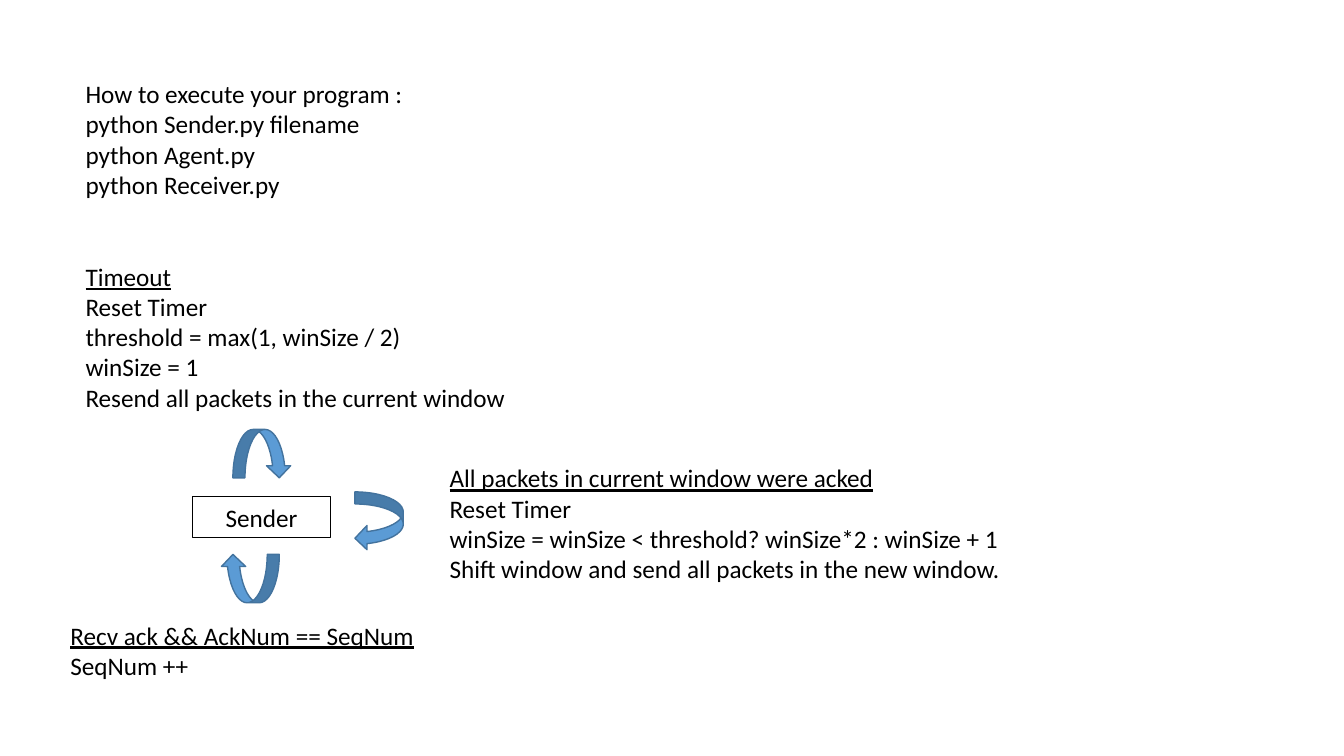
"""Build a slide on running the program and the sender's state transitions."""
from pptx import Presentation
from pptx.dml.color import RGBColor
from pptx.enum.shapes import MSO_SHAPE
from pptx.enum.text import PP_ALIGN
from pptx.util import Inches, Pt

COLORS = {"text": "000000", "arrow": "5B9BD5", "arrow_line": "43739E"}


def write_lines(tf, text, underline_first=False, align=PP_ALIGN.LEFT):
    tf.word_wrap = True
    for i, line in enumerate(text.split("\n")):
        p = tf.paragraphs[0] if i == 0 else tf.add_paragraph()
        p.alignment = align
        r = p.add_run()
        r.text = line
        r.font.name = "Calibri"
        r.font.size = Pt(18)
        r.font.color.rgb = RGBColor.from_string(COLORS["text"])
        if underline_first and i == 0:
            r.font.underline = True


prs = Presentation()
prs.slide_width, prs.slide_height = Inches(13.33), Inches(7.5)
s = prs.slides.add_slide(prs.slide_layouts[6])

sender = s.shapes.add_shape(
    MSO_SHAPE.RECTANGLE, Inches(1.91), Inches(4.93), Inches(1.37), Inches(0.4))
sender.shadow.inherit = False
sender.fill.background()
sender.line.color.rgb = RGBColor.from_string(COLORS["text"])
sender.line.width = Pt(0.75)
write_lines(sender.text_frame, "Sender", align=PP_ALIGN.CENTER)

notes = [
    (0.75, 0.73, 9.48, 1.31, False,
     "How to execute your program :\npython Sender.py filename\n"
     "python Agent.py\npython Receiver.py"),
    (0.75, 2.54, 4.44, 1.62, True,
     "Timeout\nReset Timer\nthreshold = max(1, winSize / 2)\nwinSize = 1\n"
     "Resend all packets in the current window"),
    (4.36, 4.54, 5.68, 1.31, True,
     "All packets in current window were acked\nReset Timer\n"
     "winSize = winSize < threshold? winSize*2 : winSize + 1\n"
     "Shift window and send all packets in the new window."),
    (0.6, 6.1, 3.76, 0.71, True,
     "Recv ack && AckNum == SeqNum\nSeqNum ++"),
]
for x, y, w, h, titled, text in notes:
    box = s.shapes.add_textbox(Inches(x), Inches(y), Inches(w), Inches(h))
    write_lines(box.text_frame, text, underline_first=titled)

for x, y, angle in [(3.52, 4.88, 0), (2.36, 4.21, 270), (2.24, 5.45, 90)]:
    arrow = s.shapes.add_shape(
        MSO_SHAPE.CURVED_LEFT_ARROW, Inches(x), Inches(y), Inches(0.48), Inches(0.58))
    arrow.rotation = angle
    arrow.shadow.inherit = False
    arrow.fill.solid()
    arrow.fill.fore_color.rgb = RGBColor.from_string(COLORS["arrow"])
    arrow.line.color.rgb = RGBColor.from_string(COLORS["arrow_line"])
    arrow.line.width = Pt(1)

prs.save("out.pptx")
